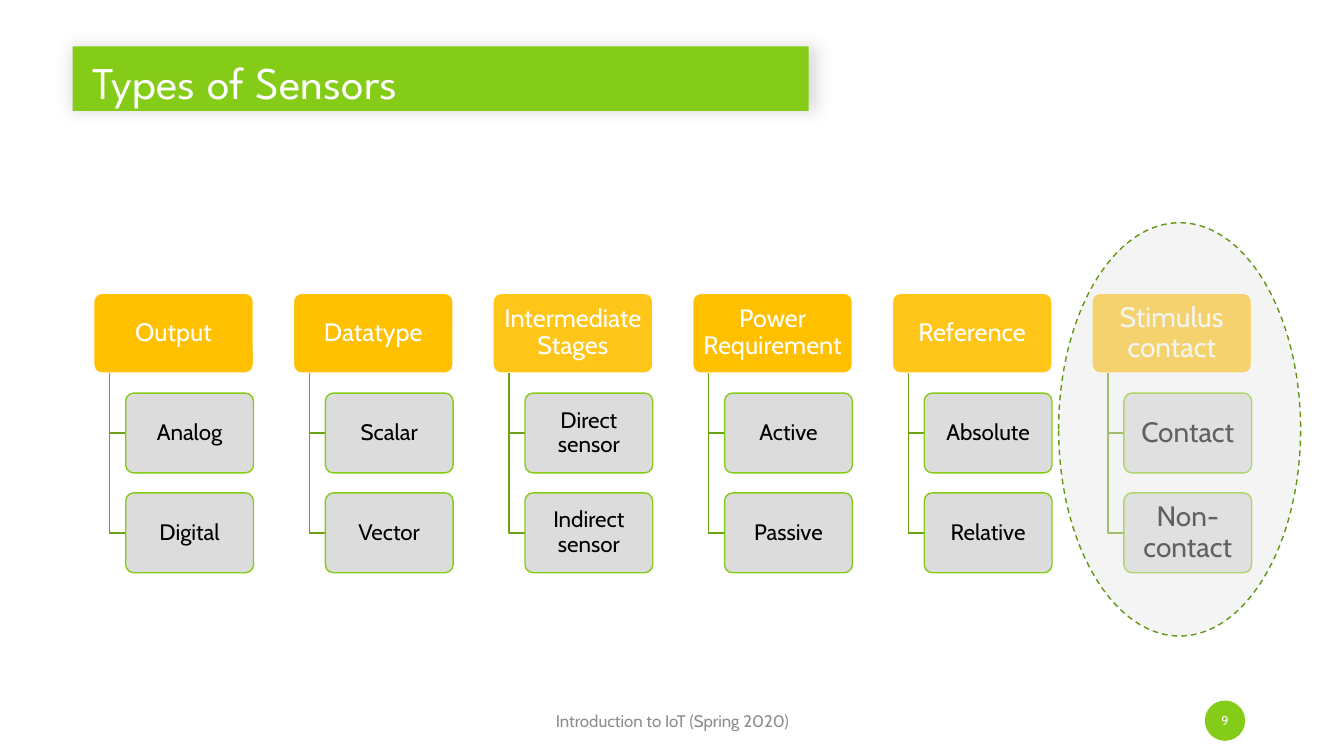
from lxml import etree
from pptx import Presentation
from pptx import util as u
from pptx.dml.color import RGBColor
from pptx.enum import dml, shapes, text
from pptx.oxml.ns import qn

THEME = {
    "color": {"green": "85CC18", "stem": "6BA313", "dash": "629712", "amber": "FFC000",
              "grey": "D9D9D9", "veil": "E7E6E6", "white": "FFFFFF", "black": "000000",
              "footer": "8C8C8C"},
    "size": {"title": 32.4, "head": 18, "leaf": 16, "large": 20, "footer": 12, "number": 9},
    "font": {"title": "League Spartan", "body": "Cabin"},
}
COLOR, SIZE, FONT = THEME["color"], THEME["size"], THEME["font"]
SHAPE = shapes.MSO_SHAPE

prs = Presentation()
prs.slide_width, prs.slide_height = u.Inches(13.33), u.Inches(7.5)
s = prs.slides.add_slide(prs.slide_layouts[6])


def add_box(kind, at, fill, line=None, alpha=100):
    """Add a preset shape with a fill, an optional line and an opacity in percent."""
    sp = s.shapes.add_shape(kind, *[int(v) for v in at])
    sp.shadow.inherit = False
    sp.fill.solid()
    sp.fill.fore_color.rgb = RGBColor.from_string(COLOR[fill])
    if alpha < 100:
        srgb = sp._element.spPr.find(qn("a:solidFill"))[0]
        etree.SubElement(srgb, qn("a:alpha"), val=str(alpha * 1000))
    if line:
        sp.line.color.rgb = RGBColor.from_string(COLOR[line])
        sp.line.width = u.Pt(1)
    else:
        sp.line.fill.background()
    return sp


def add_text(sp, words, size, color, font="body", align="CENTER", spacing=1.0,
             insets=(0.05, 0.05, 0.05, 0.05)):
    """Write one middle-anchored paragraph into a shape."""
    tf = sp.text_frame
    sides = ("margin_left", "margin_top", "margin_right", "margin_bottom")
    frame = dict(zip(sides, map(u.Inches, insets)))
    frame.update(word_wrap=True, vertical_anchor=text.MSO_ANCHOR.MIDDLE)
    for name, value in frame.items():
        setattr(tf, name, value)
    p = tf.paragraphs[0]
    p.alignment, p.line_spacing = getattr(text.PP_ALIGN, align), spacing
    r = p.add_run()
    r.text = words
    for name, value in {"name": FONT[font], "size": u.Pt(SIZE[size])}.items():
        setattr(r.font, name, value)
    r.font.color.rgb = RGBColor.from_string(COLOR[color])


# Title bar with a soft shadow that spreads to the right
title = add_box(SHAPE.RECTANGLE, map(u.Inches, (0.72, 0.46, 7.3, 0.64)), "green")
add_text(title, "Types of Sensors", "title", "white", font="title", align="LEFT",
         insets=(0.2, 0.05, 0.2, 0))
effects = title._element.spPr.find(qn("a:effectLst"))
shadow = etree.SubElement(effects, qn("a:outerShdw"), blurRad=str(u.Pt(12)), dist="0",
                          dir="0", sx="101000", sy="101000", algn="l", rotWithShape="0")
tint = etree.SubElement(shadow, qn("a:srgbClr"), val=COLOR["black"])
etree.SubElement(tint, qn("a:alpha"), val="14000")

# Sensor groups: heading, its opacity, text sizes and the two kinds below
groups = [
    ("Output", 100, "head", "leaf", ("Analog", "Digital")),
    ("Datatype", 100, "head", "leaf", ("Scalar", "Vector")),
    ("Intermediate Stages", 90, "head", "leaf", ("Direct sensor", "Indirect sensor")),
    ("Power Requirement", 100, "head", "leaf", ("Active", "Passive")),
    ("Reference", 90, "head", "leaf", ("Absolute", "Relative")),
    ("Stimulus contact", 90, "large", "large", ("Contact", "Non-contact")),
]
left, top, col = u.Inches(0.93), u.Inches(2.91), u.Inches(1.98)
row, height = col * 0.5, col * 0.4
for i, (heading, alpha, head_size, leaf_size, kinds) in enumerate(groups):
    x = left + i * col
    head = add_box(SHAPE.ROUNDED_RECTANGLE, (x, top, col * 0.8, height),
                   "amber", "white", alpha)
    head.adjustments[0] = 0.1
    add_text(head, heading, head_size, "white", spacing=0.9)
    for j, kind in enumerate(kinds, 1):
        stem_x, leaf_x, leaf_y = x + col * 0.08, x + col * 0.16, top + j * row
        # Elbow from the heading to the box
        middle = leaf_y + height / 2
        path = s.shapes.build_freeform(int(stem_x), int(top + height))
        path.add_line_segments([(int(stem_x), int(middle)), (int(leaf_x), int(middle))],
                               close=False)
        elbow = path.convert_to_shape()
        elbow.shadow.inherit = False
        elbow.fill.background()
        elbow.line.color.rgb = RGBColor.from_string(COLOR["stem"])
        elbow.line.width = u.Pt(1)
        # Box for one kind
        leaf = add_box(SHAPE.ROUNDED_RECTANGLE, (leaf_x, leaf_y, col * 0.64, height),
                       "grey", "green", 90)
        leaf.adjustments[0] = 0.1
        add_text(leaf, kind, leaf_size, "black", spacing=0.9)

# Footer and slide number
footer = s.shapes.add_textbox(*map(u.Inches, (4.42, 6.95, 4.5, 0.4)))
add_text(footer, "Introduction to IoT (Spring 2020)", "footer", "footer")
number = add_box(SHAPE.FLOWCHART_CONNECTOR, map(u.Inches, (11.95, 6.95, 0.4, 0.4)), "green")
add_text(number, "9", "number", "white", insets=(0, 0.05, 0, 0.05))

# Veil over the last group
veil = add_box(SHAPE.OVAL, map(u.Inches, (10.5, 2.21, 2.4, 4.1)), "veil", "dash", 42)
veil.line.dash_style = dml.MSO_LINE.DASH

prs.save("out.pptx")
